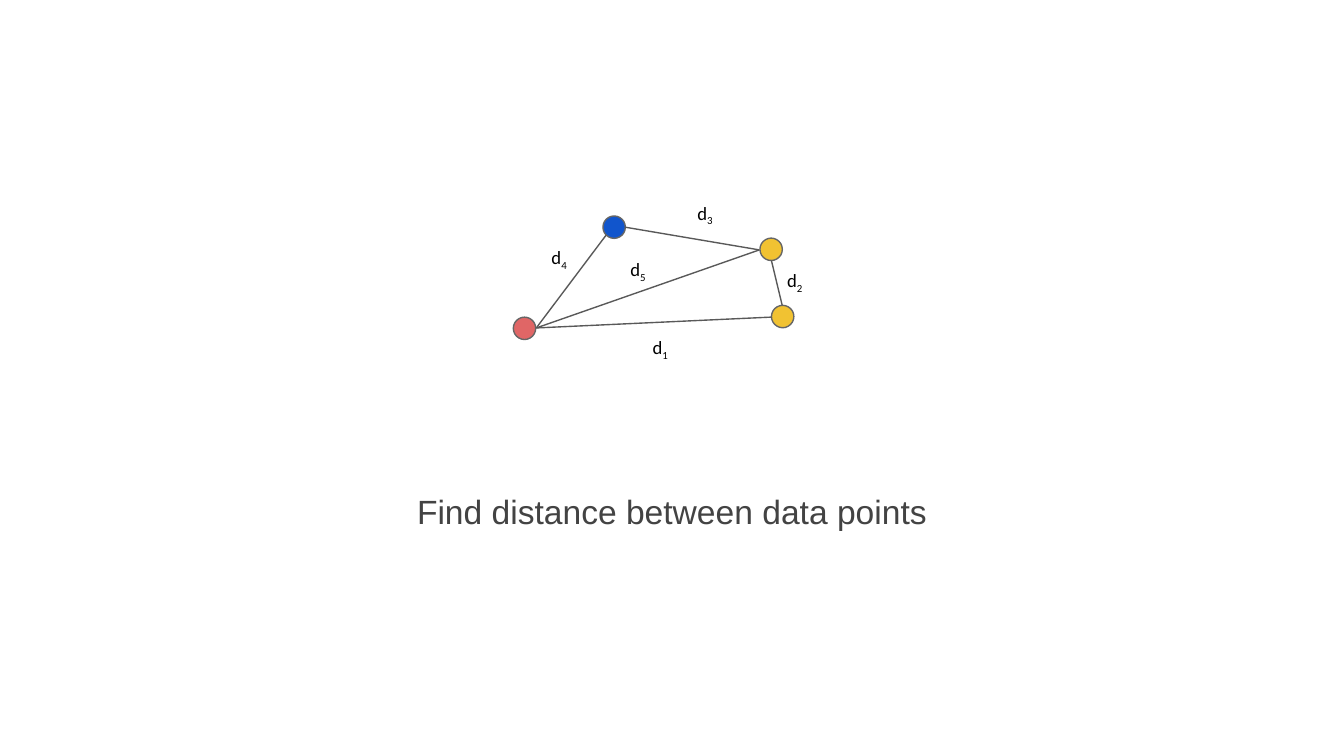
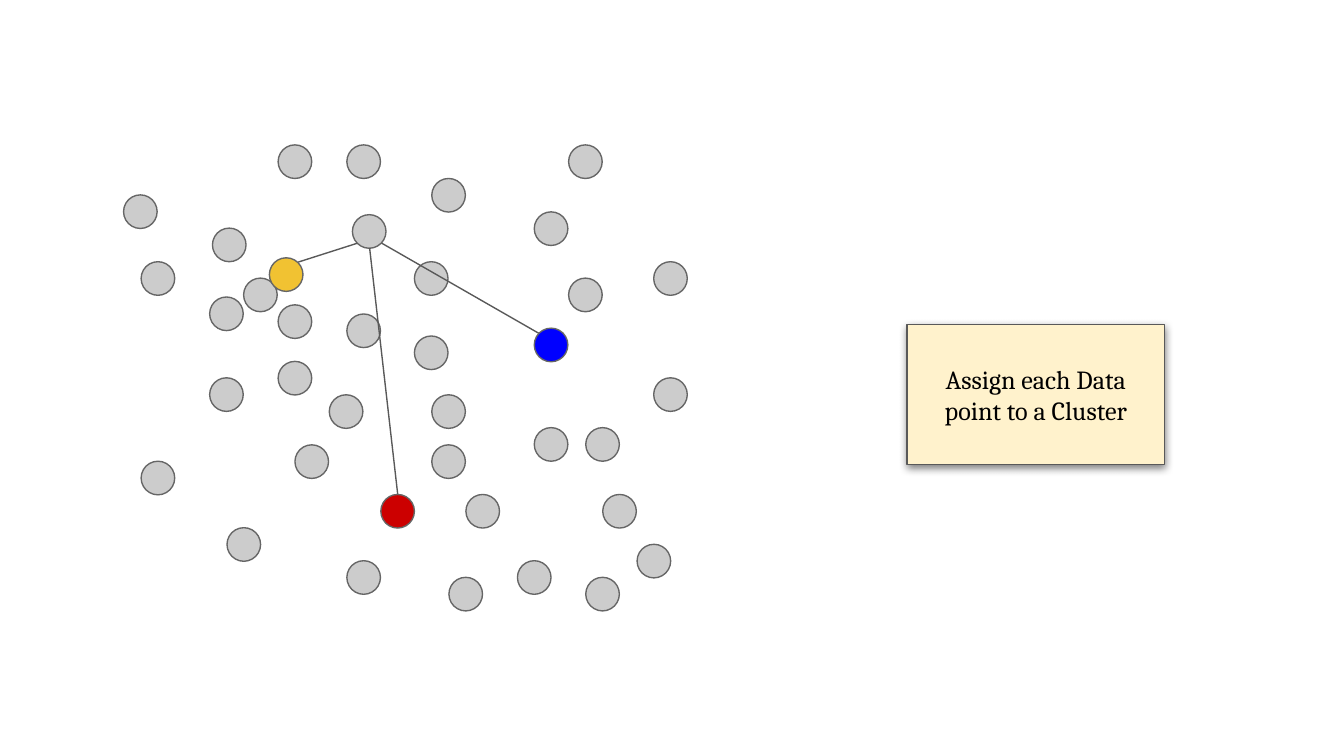
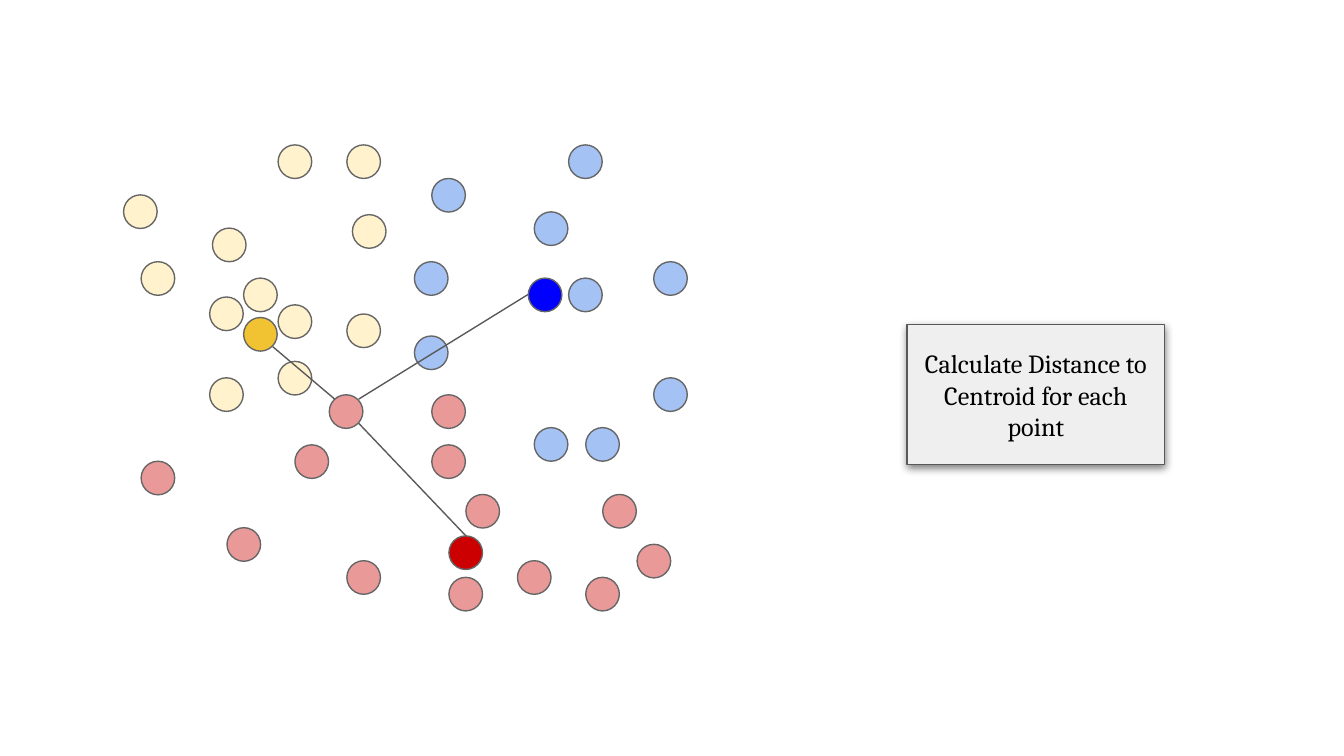
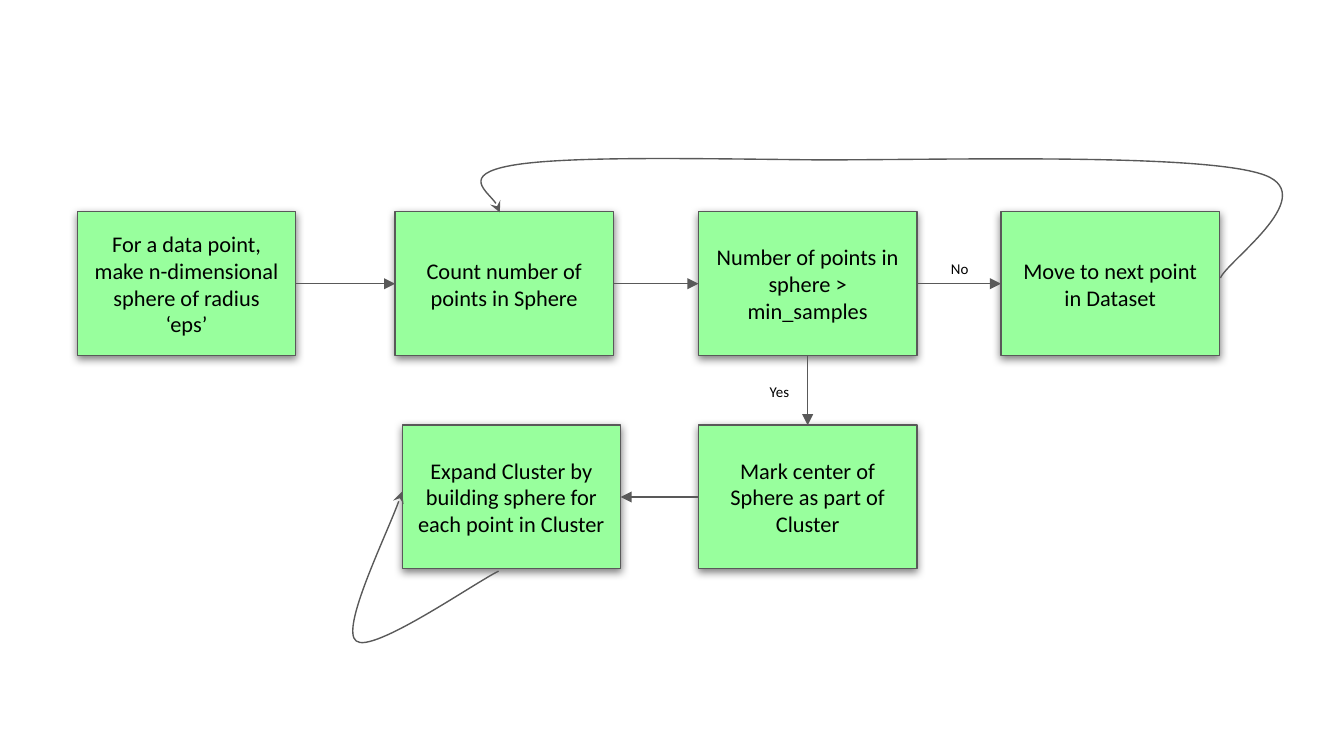
from typing import NamedTuple, Optional

from lxml.etree import SubElement
from pptx import Presentation
from pptx.dml.color import RGBColor
from pptx.enum.shapes import MSO_CONNECTOR, MSO_SHAPE
from pptx.enum.text import MSO_ANCHOR, MSO_AUTO_SIZE, PP_ALIGN
from pptx.oxml.ns import qn
from pptx.util import Pt

BLACK, CAPTION = "000000", "434343"
LINE, DOT_OUTLINE = "595959", "666666"
GRAY, LIGHT_GRAY, GREEN = "CCCCCC", "EFEFEF", "98FF9D"
YELLOW, RED, BLUE = "F1C232", "CC0000", "0000FF"
PALE_YELLOW, PALE_RED, PALE_BLUE = "FFF2CC", "EA9999", "A4C2F4"
NODE_RED, NODE_BLUE = "E06666", "1155CC"
SANS, BODY, SERIF = "Arial", "Calibri", "Cambria"

LINE_WIDTH = 0.75
MARGIN = 7.2
NODE_SIZE, DOT_SIZE = 12, 18

Point = tuple[float, float]


class Box(NamedTuple):
    left: float
    top: float
    width: float
    height: float

    def lengths(self) -> list[int]:
        return [Pt(value) for value in self]


class Dot(NamedTuple):
    left: float
    top: float
    color: str


class Edge(NamedTuple):
    start: Point
    end: Point


class Label(NamedTuple):
    text: str
    left: float
    top: float
    subscript: str = ""


class Step(NamedTuple):
    text: str
    left: float
    top: float


class Arrow(NamedTuple):
    """Connection sites run 0 top, 1 left, 2 bottom, 3 right."""
    source: str
    source_site: int
    target: str
    target_site: int


class Loop(NamedTuple):
    """Each curve holds two control points and an end point."""
    frame: Box
    start: Point
    curves: list[tuple[Point, Point, Point]]


class ClusterStage(NamedTuple):
    text: str
    callout_color: str
    dot_color: Optional[str]
    centroids: list[Dot]
    edges: list[Edge]


# Distances between data points
NODES = [Dot(275, 169.9, NODE_RED), Dot(413.3, 163.6, YELLOW),
         Dot(407.1, 127.6, YELLOW), Dot(323, 115.7, NODE_BLUE)]
DISTANCES = [Edge((287.3, 175.7), (413.3, 169.9)),
             Edge((287.3, 175.7), (324.7, 126)),
             Edge((287.3, 175.7), (406.8, 133.9)),
             Edge((334.8, 121.7), (406.8, 133.9)),
             Edge((413.3, 139.7), (419, 163.4))]
DISTANCE_LABELS = [Label("d", 335, 175.7, "1"), Label("d", 323, 133.9, "5"),
                   Label("d", 407, 139.7, "2"), Label("d", 359, 103.7, "3"),
                   Label("d", 280.8, 127.4, "4")]

# Data points, grouped by the cluster that they join
CLUSTERS: dict[str, list[Point]] = {
    PALE_YELLOW: [
        (66.2, 104.4), (113.8, 122.2), (149, 163.3), (112.3, 159.1),
        (185.8, 168.2), (149, 77.6), (188.8, 115), (75.6, 140.2),
        (130.5, 149), (112.3, 202.4), (149, 193.6), (185.8, 77.6)],
    PALE_BLUE: [
        (231.3, 95.6), (222, 180), (304.6, 149), (304.6, 77.6),
        (286.2, 229.1), (350.2, 202.4), (222, 140.2), (313.8, 229.1),
        (286.2, 113.5), (350.2, 140.2)],
    PALE_RED: [
        (176.4, 211.5), (158, 238.3), (322.9, 264.9), (231.3, 211.5),
        (249.6, 264.9), (231.3, 238.3), (277.2, 300.4), (240.5, 309.3),
        (341.3, 291.6), (313.8, 309.3), (121.6, 282.7), (185.8, 300.4),
        (75.6, 247.1)],
}
CALLOUT = Box(486, 174, 138, 75)
STAGES = [
    ClusterStage(
        "Assign each Data point to a Cluster", PALE_YELLOW, GRAY,
        [Dot(144.3, 138.1, YELLOW), Dot(204, 264.9, RED), Dot(286.2, 175.8, BLUE)],
        [Edge((159.8, 140.4), (191.5, 130.3)),
         Edge((204.5, 130.3), (288.7, 178.6)),
         Edge((198, 132.8), (213.1, 265))]),
    ClusterStage(
        "Calculate Distance to Centroid for each point", LIGHT_GRAY, None,
        [Dot(130.5, 170.1, YELLOW), Dot(240.5, 287.1, RED), Dot(283, 149, BLUE)],
        [Edge((192.2, 213.8), (283, 157.7)),
         Edge((179.3, 213.8), (146.2, 185.8)),
         Edge((192.2, 226.8), (249.8, 287.3))]),
]

# Steps of the density clustering flow
STEP_WIDTH, STEP_HEIGHT = 117, 77
UPPER_ROW, LOWER_ROW = 113.5, 227.8
STEPS = {
    "sphere": Step("For a data point, make n-dimensional sphere of radius ‘eps’",
                   41.5, UPPER_ROW),
    "count": Step("Count number of points in Sphere", 211.7, UPPER_ROW),
    "compare": Step("Number of points in sphere > min_samples", 374.2, UPPER_ROW),
    "next": Step("Move to next point in Dataset", 536.3, UPPER_ROW),
    "mark": Step("Mark center of Sphere as part of Cluster", 374.2, LOWER_ROW),
    "expand": Step("Expand Cluster by building sphere for each point in Cluster",
                   215.5, LOWER_ROW),
}
ARROWS = [Arrow("sphere", 3, "count", 1), Arrow("count", 3, "compare", 1),
          Arrow("compare", 3, "next", 1), Arrow("compare", 2, "mark", 0),
          Arrow("mark", 1, "expand", 3)]
ANSWERS = [Label("No", 499, 131.8), Label("Yes", 402.5, 198)]
LOOPS = [
    Loop(Box(189.4, 263.5, 77.8, 81.4), (267.1, 306),
         [((254.9, 311.8), (199.4, 350.6), (190.8, 343.4)),
          ((182.2, 337), (211.7, 277.2), (215.3, 263.5))]),
    Loop(Box(259.9, 85, 427, 64.8), (653.8, 149),
         [((657.4, 139.7), (710.6, 103), (674.6, 92.9)),
          ((638.6, 82.1), (505.4, 85.7), (439.2, 85.7)),
          ((372.2, 85), (303.1, 83.5), (274.3, 88.6)),
          ((246.2, 93.6), (269.3, 109.4), (267.8, 113.8))]),
]


def rgb(color: str) -> RGBColor:
    return RGBColor.from_string(color)


def style_line(shape, color: str = LINE, arrowhead: Optional[str] = None) -> None:
    shape.line.color.rgb = rgb(color)
    shape.line.width = Pt(LINE_WIDTH)
    if arrowhead:
        outline = shape.element.spPr.find(qn("a:ln"))
        SubElement(outline, qn("a:tailEnd"), type=arrowhead)


def style_text(shape, font: str, size: float, color: str = BLACK,
               anchor=MSO_ANCHOR.MIDDLE) -> None:
    frame = shape.text_frame
    frame.word_wrap = True
    frame.auto_size = MSO_AUTO_SIZE.NONE
    frame.vertical_anchor = anchor
    frame.margin_left = frame.margin_right = Pt(MARGIN)
    frame.margin_top = frame.margin_bottom = Pt(MARGIN)
    for paragraph in frame.paragraphs:
        paragraph.alignment = PP_ALIGN.CENTER
        for run in paragraph.runs:
            run.font.name = font
            run.font.size = Pt(size)
            run.font.color.rgb = rgb(color)


def add_dot(slide, dot: Dot, size: float) -> None:
    box = Box(dot.left, dot.top, size, size)
    circle = slide.shapes.add_shape(MSO_SHAPE.OVAL, *box.lengths())
    circle.shadow.inherit = False
    circle.fill.solid()
    circle.fill.fore_color.rgb = rgb(dot.color)
    style_line(circle, DOT_OUTLINE)


def add_card(slide, box: Box, text: str, fill: str, font: str, size: float):
    """Add a filled rectangle with a soft shadow below it."""
    card = slide.shapes.add_shape(MSO_SHAPE.RECTANGLE, *box.lengths())
    card.fill.solid()
    card.fill.fore_color.rgb = rgb(fill)
    style_line(card)
    card.shadow.inherit = False
    effects = card.element.spPr.find(qn("a:effectLst"))
    shadow = SubElement(effects, qn("a:outerShdw"), blurRad=str(Pt(4.5)),
                        dist=str(Pt(1.5)), dir="5400000", algn="bl",
                        rotWithShape="0")
    shadow_color = SubElement(shadow, qn("a:srgbClr"), val=BLACK)
    SubElement(shadow_color, qn("a:alpha"), val="50000")
    card.text_frame.text = text
    style_text(card, font, size)
    return card


def add_edge(slide, edge: Edge, arrowhead: Optional[str] = None):
    ends = [Pt(value) for value in (*edge.start, *edge.end)]
    connector = slide.shapes.add_connector(MSO_CONNECTOR.STRAIGHT, *ends)
    style_line(connector, arrowhead=arrowhead)
    SubElement(connector.element.spPr, qn("a:effectLst"))
    return connector


def add_label(slide, label: Label, width: float, height: float, size: float,
              anchor=MSO_ANCHOR.MIDDLE) -> None:
    box = Box(label.left, label.top, width, height)
    label_box = slide.shapes.add_textbox(*box.lengths())
    paragraph = label_box.text_frame.paragraphs[0]
    paragraph.text = label.text
    if label.subscript:
        index = paragraph.add_run()
        index.text = label.subscript
        index._r.get_or_add_rPr().set("baseline", "-25000")
    style_text(label_box, BODY, size, anchor=anchor)


def add_loop(slide, loop: Loop) -> None:
    """Frame a freeform, then give its outline the Bézier curves."""
    left, top, width, height = loop.frame.lengths()
    builder = slide.shapes.build_freeform(left, top)
    builder.add_line_segments([(left + width, top + height)], close=False)
    curve_shape = builder.convert_to_shape()
    outline = next(curve_shape.element.spPr.iter(qn("a:path")))
    for segment in list(outline):
        outline.remove(segment)

    def add_segment(tag: str, points) -> None:
        segment = SubElement(outline, qn(tag))
        for x, y in points:
            SubElement(segment, qn("a:pt"), x=str(Pt(x) - left), y=str(Pt(y) - top))

    add_segment("a:moveTo", [loop.start])
    for curve in loop.curves:
        add_segment("a:cubicBezTo", curve)
    curve_shape.fill.background()
    curve_shape.shadow.inherit = False
    style_line(curve_shape, arrowhead="stealth")


def build_distances(slide) -> None:
    title = slide.shapes.title
    title.left, title.top, title.width, title.height = Box(74, 255, 572, 34).lengths()
    title.text_frame.text = "Find distance between data points"
    style_text(title, SANS, 18, CAPTION)
    title.text_frame.paragraphs[0].line_spacing = 1.15
    for node in NODES:
        add_dot(slide, node, NODE_SIZE)
    for distance in DISTANCES:
        add_edge(slide, distance)
    for label in DISTANCE_LABELS:
        add_label(slide, label, 37.4, 22.3, 10)


def build_clusters(slide, stage: ClusterStage) -> None:
    for cluster_color, positions in CLUSTERS.items():
        for left, top in positions:
            add_dot(slide, Dot(left, top, stage.dot_color or cluster_color), DOT_SIZE)
    add_card(slide, CALLOUT, stage.text, stage.callout_color, SERIF, 14)
    for edge in stage.edges:
        add_edge(slide, edge)
    for centroid in stage.centroids:
        add_dot(slide, centroid, DOT_SIZE)


def build_flow(slide) -> None:
    cards = {}
    for key, step in STEPS.items():
        box = Box(step.left, step.top, STEP_WIDTH, STEP_HEIGHT)
        cards[key] = add_card(slide, box, step.text, GREEN, BODY, 12)
    for arrow in ARROWS:
        connector = add_edge(slide, Edge((0, 0), (0, 0)), "triangle")
        connector.begin_connect(cards[arrow.source], arrow.source_site)
        connector.end_connect(cards[arrow.target], arrow.target_site)
    for loop in LOOPS:
        add_loop(slide, loop)
    for answer in ANSWERS:
        add_label(slide, answer, 30.2, 20.2, 8, MSO_ANCHOR.TOP)


def main() -> None:
    deck = Presentation()
    deck.slide_width, deck.slide_height = Pt(720), Pt(405)
    title_only, blank = deck.slide_layouts[5], deck.slide_layouts[6]
    build_distances(deck.slides.add_slide(title_only))
    for stage in STAGES:
        build_clusters(deck.slides.add_slide(blank), stage)
    build_flow(deck.slides.add_slide(blank))
    deck.save("out.pptx")


if __name__ == "__main__":
    main()
